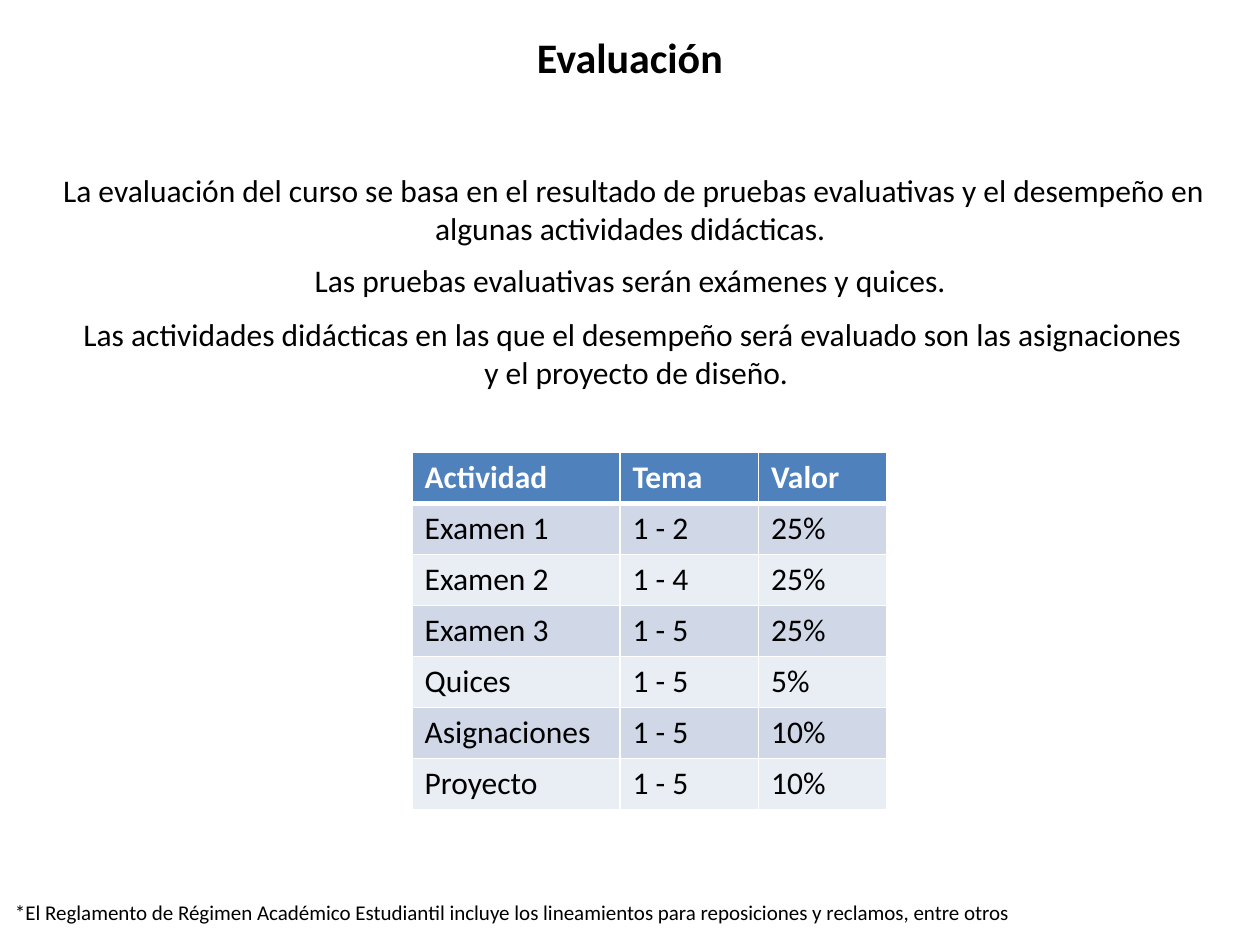
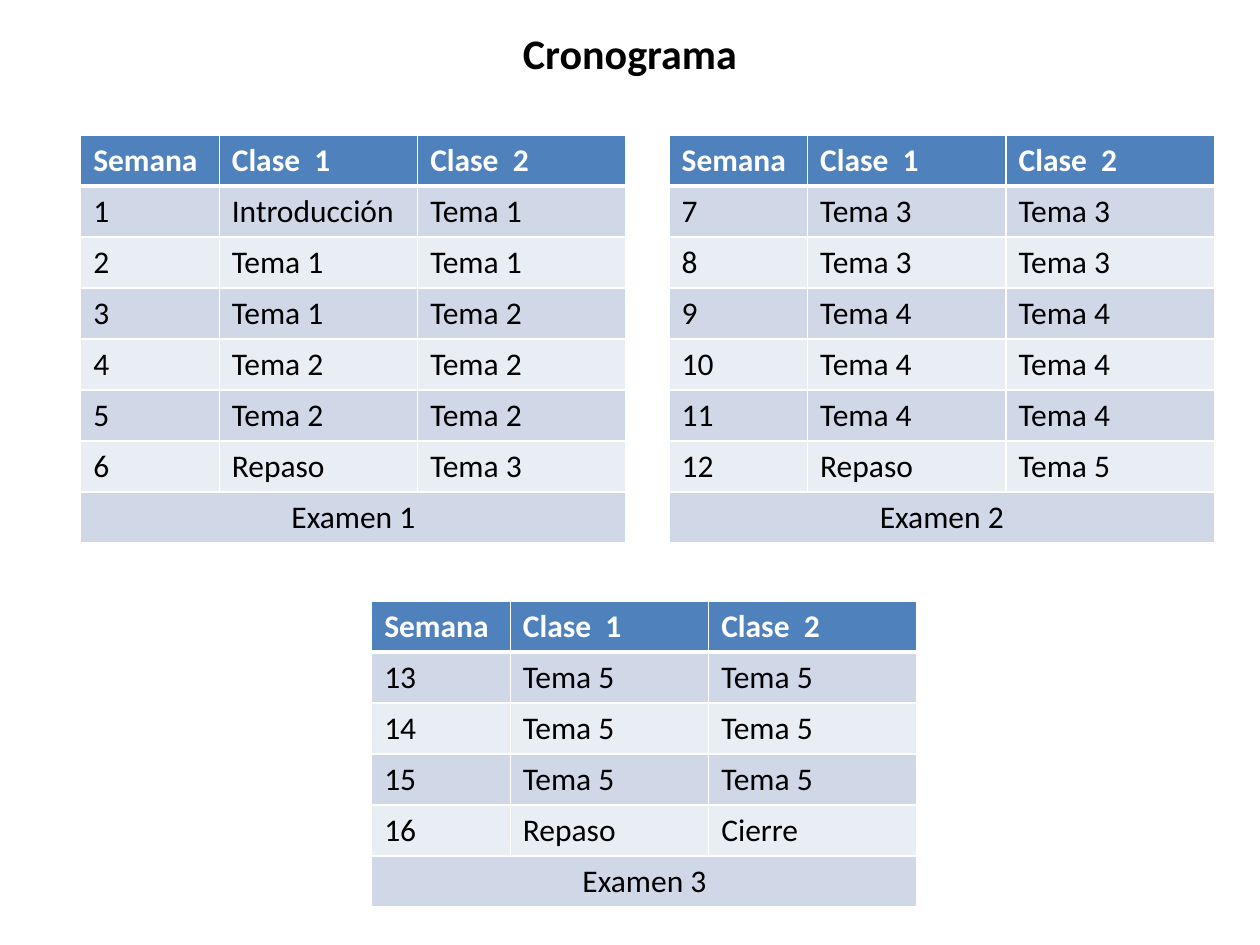
from lxml import etree
from pptx import Presentation, util as u
from pptx.dml.color import RGBColor
from pptx.enum import text as t
from pptx.oxml.ns import qn

FONT = "Calibri"
BLACK, WHITE = "000000", "FFFFFF"
HEADER = "4F81BD"
BANDS = ("D0D8E8", "E9EDF4")

# The 10 x 7.5 inch slide is a grid of 100 columns by 75 rows.
UNIT = u.Inches(0.1)
COLUMNS, ROWS = 100, 75
TABLE_ROW = 4.05
CENTER, LEFT = t.PP_ALIGN.CENTER, t.PP_ALIGN.LEFT

GRADES = [
    ("Actividad", "Tema", "Valor"),
    ("Examen 1", "1 - 2", "25%"),
    ("Examen 2", "1 - 4", "25%"),
    ("Examen 3", "1 - 5", "25%"),
    ("Quices", "1 - 5", "5%"),
    ("Asignaciones", "1 - 5", "10%"),
    ("Proyecto", "1 - 5", "10%"),
]
GRADE_WIDTHS = (16.5, 11, 10.2)

WEEK_HEADER = ("Semana", "Clase  1", "Clase  2")
WEEK_WIDTHS = (11, 15.75, 16.55)
# Each block: first week, the two classes of every week, closing exam.
BLOCKS = [
    (1, [("Introducción", "Tema 1"), ("Tema 1", "Tema 1"), ("Tema 1", "Tema 2"),
         ("Tema 2", "Tema 2"), ("Tema 2", "Tema 2"), ("Repaso", "Tema 3")], "Examen 1"),
    (7, [("Tema 3", "Tema 3")] * 2 + [("Tema 4", "Tema 4")] * 3
        + [("Repaso", "Tema 5")], "Examen 2"),
    (13, [("Tema 5", "Tema 5")] * 3 + [("Repaso", "Cierre")], "Examen 3"),
]


def grid(units):
    return round(units * UNIT)


def rgb(value):
    return RGBColor.from_string(value)


def write(frame, *lines, size=18, color=BLACK, bold=False, align=LEFT):
    for index, line in enumerate(lines):
        paragraph = frame.paragraphs[0] if index == 0 else frame.add_paragraph()
        paragraph.alignment = align
        run = paragraph.add_run()
        run.text = line
        run.font.name, run.font.size = FONT, u.Pt(size)
        run.font.bold, run.font.color.rgb = bold, rgb(color)


def add_text(slide, box, *lines, **style):
    frame = slide.shapes.add_textbox(*map(grid, box)).text_frame
    frame.word_wrap = True
    frame.auto_size = t.MSO_AUTO_SIZE.SHAPE_TO_FIT_TEXT
    write(frame, *lines, **style)


def add_title(slide, title, top):
    add_text(slide, (0, top, COLUMNS, 5), title, size=24, bold=True, align=CENTER)


def add_borders(cell, top, bottom):
    """White rules; side rules are always one point wide."""
    properties = cell._tc.get_or_add_tcPr()
    for side, width in (("L", 1), ("R", 1), ("T", top), ("B", bottom)):
        line = etree.SubElement(properties, qn(f"a:ln{side}"), w=str(u.Pt(width)))
        fill = etree.SubElement(line, qn("a:solidFill"))
        etree.SubElement(fill, qn("a:srgbClr"), val=WHITE)


def add_banded_table(slide, left, top, widths, rows):
    """A row with a single entry spans the whole table."""
    size = (sum(widths), TABLE_ROW * len(rows))
    table = slide.shapes.add_table(
        len(rows), len(widths), *map(grid, (left, top, *size))).table
    for column, width in zip(table.columns, widths):
        column.width = grid(width)
    for r, entries in enumerate(rows):
        table.rows[r].height = grid(TABLE_ROW)
        is_header, spans = r == 0, len(entries) == 1
        for c in range(len(widths)):
            cell = table.cell(r, c)
            add_borders(cell, top=3 if r == 1 else 1, bottom=3 if is_header else 1)
            cell.fill.solid()
            cell.fill.fore_color.rgb = rgb(HEADER if is_header else BANDS[(r - 1) % 2])
        for c, entry in enumerate(entries):
            write(table.cell(r, c).text_frame, entry, bold=is_header,
                  color=WHITE if is_header else BLACK,
                  align=CENTER if spans else LEFT)
        if spans:
            table.cell(r, 0).merge(table.cell(r, len(widths) - 1))


def add_criteria(slide, left, top, width):
    add_text(slide, (left, top, width, 7.1),
             "La evaluación del curso se basa en el resultado de pruebas evaluativas "
             "y el desempeño en algunas actividades didácticas. ", align=CENTER)
    add_text(slide, (left, top + 7.1, width, 4),
             "Las pruebas evaluativas serán exámenes y quices. ", align=CENTER)
    add_text(slide, (left + 0.3, top + 11.4, width - 0.2, 7.1),
             "Las actividades didácticas en las que el desempeño será evaluado "
             "son las asignaciones ",
             "y el proyecto de diseño.", align=CENTER)


def add_week_block(slide, left, top, block):
    first, classes, exam = block
    weeks = [(str(week), *pair) for week, pair in enumerate(classes, first)]
    add_banded_table(slide, left, top, WEEK_WIDTHS, [WEEK_HEADER, *weeks, (exam,)])


def build_evaluation(slide):
    add_title(slide, "Evaluación", top=2)
    add_criteria(slide, left=1.4, top=13.1, width=97.8)
    add_text(slide, (0.2, ROWS - 4.1, 98.8, 3),
             "*El Reglamento de Régimen Académico Estudiantil incluye los lineamientos "
             "para reposiciones y reclamos, entre otros", size=12)
    add_banded_table(slide, 32.7, 35.9, GRADE_WIDTHS, GRADES)


def build_schedule(slide):
    add_title(slide, "Cronograma", top=1.7)
    places = [(6.4, 10.7), (53.1, 10.7), (29.5, 47.7)]
    for (left, top), block in zip(places, BLOCKS):
        add_week_block(slide, left, top, block)


def main():
    deck = Presentation()
    deck.slide_width, deck.slide_height = grid(COLUMNS), grid(ROWS)
    for build in (build_evaluation, build_schedule):
        build(deck.slides.add_slide(deck.slide_layouts[6]))
    deck.save("out.pptx")


if __name__ == "__main__":
    main()
